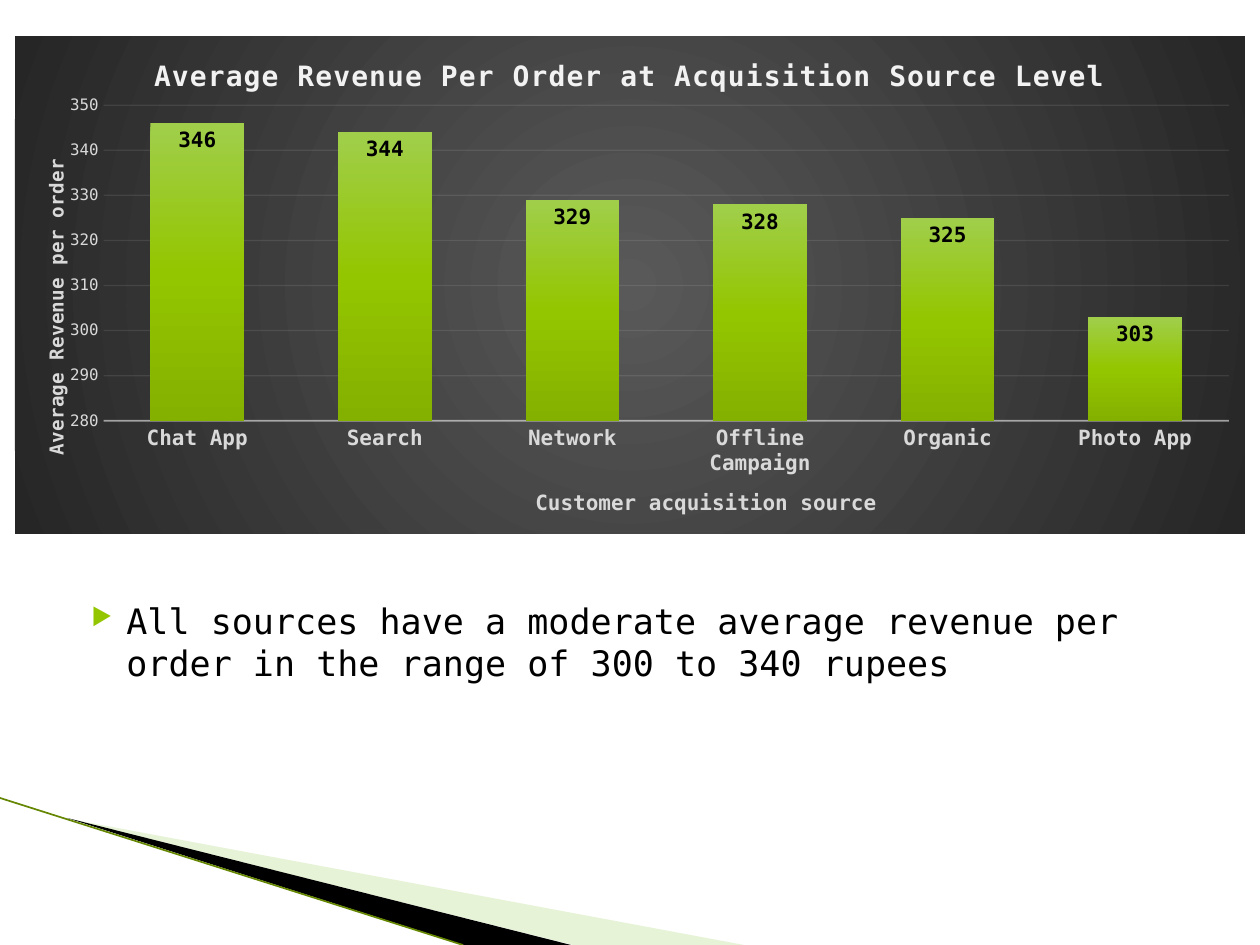
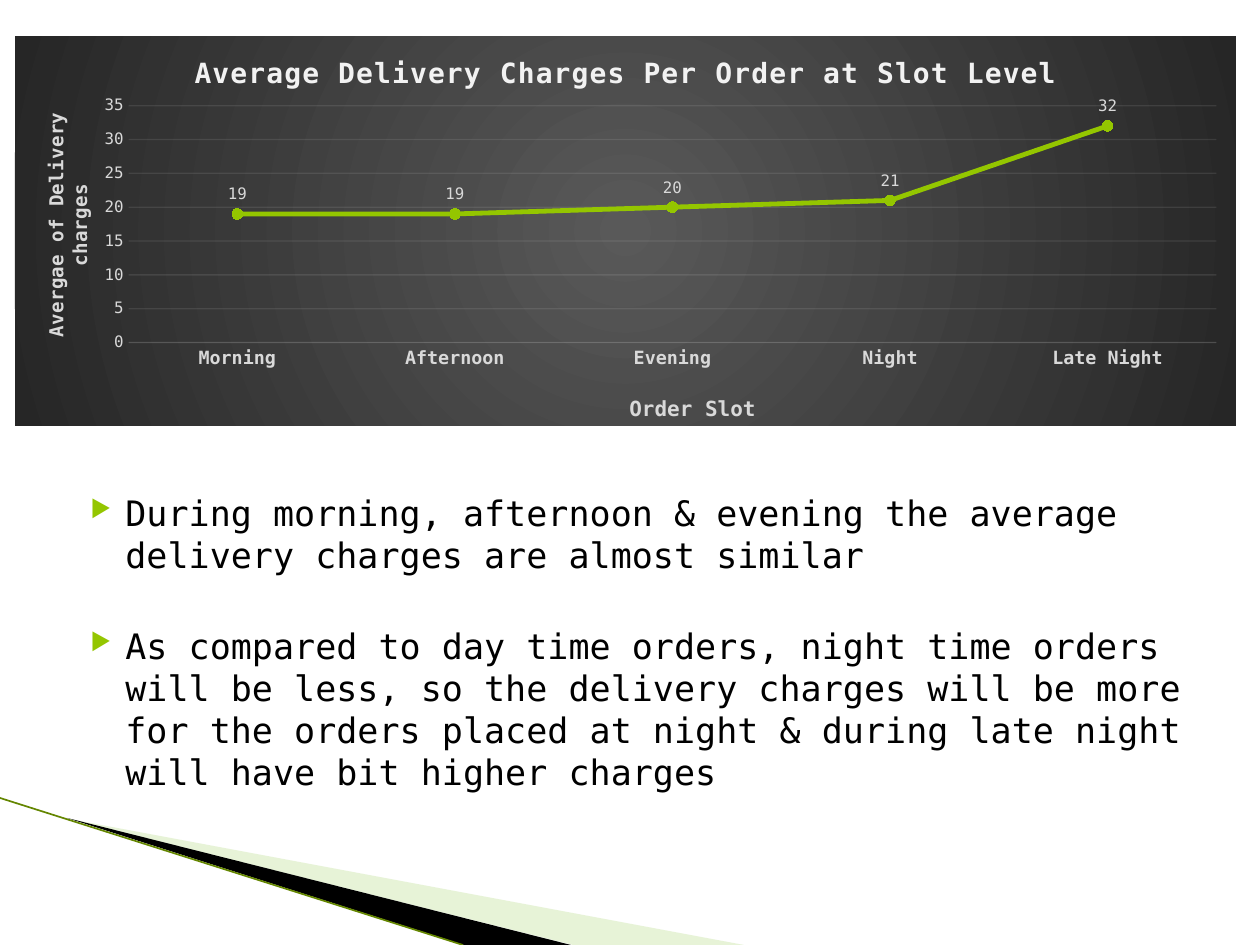
from dataclasses import dataclass

from lxml.etree import SubElement
from pptx import Presentation
from pptx.chart.data import CategoryChartData
from pptx.dml.color import RGBColor
from pptx.enum.chart import XL_CHART_TYPE as ChartType
from pptx.enum.chart import XL_LABEL_POSITION as LabelPosition
from pptx.enum.chart import XL_MARKER_STYLE as MarkerStyle
from pptx.enum.chart import XL_TICK_MARK as TickMark
from pptx.enum.shapes import MSO_CONNECTOR as Connector
from pptx.oxml import parse_xml
from pptx.oxml.ns import nsdecls, qn
from pptx.util import Emu, Pt

PX = 914400 / 126


@dataclass(frozen=True)
class Theme:
    font: str = "DejaVu Sans Mono"
    black: str = "000000"
    green: str = "94C600"
    pale_green: str = "C3E19D"
    edge: str = "648600"
    title: str = "F2F2F2"
    label: str = "D9D9D9"
    panel: tuple = ((0, "595959"), (100, "262626"))
    bars: tuple = ((0, "A0CE4B"), (50, "94C600"), (100, "84B000"))
    body_size: float = 20
    title_size: float = 16
    axis_title_size: float = 12
    value_title_size: float = 11
    small_size: float = 9


THEME = Theme()


def px(length):
    return Emu(round(length * PX))


def rgb(color):
    return RGBColor.from_string(color)


def set_font(font, size, color, bold=False):
    font.name, font.size, font.bold = THEME.font, Pt(size), bold
    font.color.rgb = rgb(color)


def fade(element, path, percent):
    """Give the colour found at path an opacity."""
    color = element.xpath(path + "//a:srgbClr")[0]
    SubElement(color, qn("a:alpha")).set("val", str(percent * 1000))


def gradient(stops, direction):
    marks = "".join(f'<a:gs pos="{position * 1000}"><a:srgbClr val="{color}"/></a:gs>'
                    for position, color in stops)
    return f'<a:gradFill {nsdecls("a")}><a:gsLst>{marks}</a:gsLst>{direction}</a:gradFill>'


def layout(**values):
    """Manual chart layout, as fractions of the chart."""
    target = '<c:layoutTarget val="inner"/>' if "w" in values else ""
    modes = '<c:xMode val="edge"/><c:yMode val="edge"/>'
    places = "".join(f'<c:{name} val="{value}"/>' for name, value in values.items())
    return parse_xml(f'<c:layout {nsdecls("c")}><c:manualLayout>{target}{modes}{places}'
                     '</c:manualLayout></c:layout>')


def drop_layout(element):
    for old in element.findall(qn("c:layout")):
        element.remove(old)


# Corner decoration shared by the slides
def add_wedge(slide, points, color, opacity=100):
    builder = slide.shapes.build_freeform(*points[0], scale=PX)
    builder.add_line_segments(points[1:])
    shape = builder.convert_to_shape()
    shape.shadow.inherit = False
    shape.fill.solid()
    shape.fill.fore_color.rgb = rgb(color)
    shape.line.fill.background()
    if opacity < 100:
        fade(shape._element, "./p:spPr/a:solidFill", opacity)


def add_corner(slide):
    add_wedge(slide, [(69, 819), (744, 945), (573, 945)], THEME.pale_green, 40)
    add_wedge(slide, [(67, 818), (571, 945), (464, 945)], THEME.black)
    edge = slide.shapes.add_connector(Connector.STRAIGHT, px(0), px(798), px(463), px(945))
    edge.line.color.rgb = rgb(THEME.edge)
    edge.line.width = Pt(0.95)
    SubElement(edge._element.spPr, qn("a:effectLst"))


# Findings below the chart
def add_bullets(slide, left, top, height, texts):
    box = slide.shapes.add_textbox(px(left), px(top), px(1134), px(height))
    frame = box.text_frame
    frame.word_wrap = True
    for index, text in enumerate(texts):
        paragraph = frame.paragraphs[0] if index == 0 else frame.add_paragraph()
        paragraph.text = text
        properties = paragraph._p.get_or_add_pPr()
        properties.set("marL", str(px(50)))
        properties.set("indent", str(-px(35)))
        if index:
            paragraph.space_before = Pt(28)
        bullet_color = SubElement(properties, qn("a:buClr"))
        SubElement(bullet_color, qn("a:srgbClr")).set("val", THEME.green)
        SubElement(properties, qn("a:buSzPct")).set("val", "68000")
        SubElement(properties, qn("a:buChar")).set("char", "▶")
        set_font(paragraph.font, THEME.body_size, THEME.black)


# Charts
def set_title(owner, text, size, color, place=None):
    """Title a chart or an axis; place is its top left corner."""
    title = owner.chart_title if hasattr(owner, "chart_title") else owner.axis_title
    run = title.text_frame.paragraphs[0].add_run()
    run.text = text
    set_font(run.font, size, color, bold=True)
    if place:
        element = title._element
        drop_layout(element)
        element.find(qn("c:tx")).addnext(layout(x=place[0], y=place[1]))
    return run


def style_category_axis(axis, size, line_width, opacity):
    axis.major_tick_mark = TickMark.NONE
    set_font(axis.tick_labels.font, size, THEME.label, bold=True)
    axis.format.line.color.rgb = rgb(THEME.title)
    axis.format.line.width = Pt(line_width)
    fade(axis._element, "./c:spPr", opacity)


def style_value_axis(axis, low, high, step):
    axis.minimum_scale, axis.maximum_scale, axis.major_unit = low, high, step
    axis.major_tick_mark = TickMark.NONE
    axis.format.line.fill.background()
    set_font(axis.tick_labels.font, THEME.small_size, THEME.label)
    axis.tick_labels.number_format = "0"
    axis.tick_labels.number_format_is_linked = False
    grid = axis.major_gridlines.format.line
    grid.color.rgb = rgb(THEME.title)
    grid.width = Pt(0.75)
    fade(axis._element, "./c:majorGridlines", 10)


def add_panel_chart(slide, kind, width, height, values, title, plot):
    data = CategoryChartData(number_format="0")
    data.categories = values.keys()
    data.add_series("Series 1", values.values())
    chart = slide.shapes.add_chart(kind, px(15), px(36), px(width), px(height), data).chart
    chart.has_legend = False
    set_font(chart.font, 10, THEME.black)
    run = set_title(chart, title, THEME.title_size, THEME.title)
    run._r.get_or_add_rPr().set("spc", "80")

    space = chart._chartSpace
    circle = ('<a:path path="circle"><a:fillToRect l="50000" t="50000" '
              'r="50000" b="50000"/></a:path>')
    space.find(qn("c:chart")).addnext(parse_xml(
        f'<c:spPr {nsdecls("c", "a")}>{gradient(THEME.panel, circle)}'
        '<a:ln><a:noFill/></a:ln></c:spPr>'))
    plot_area = space.xpath("./c:chart/c:plotArea")[0]
    drop_layout(plot_area)
    plot_area.insert(0, layout(**dict(zip("xywh", plot))))
    chart.plots[0].vary_by_categories = False
    return chart


def add_labels(series, position, size, color, bold=False):
    labels = series.data_labels
    labels.show_value = True
    labels.number_format, labels.number_format_is_linked = "0", False
    labels.position = position
    set_font(labels.font, size, color, bold)


def add_revenue_chart(slide):
    revenue = {"Chat App": 346, "Search": 344, "Network": 329,
               "Offline Campaign": 328, "Organic": 325, "Photo App": 303}
    chart = add_panel_chart(slide, ChartType.COLUMN_CLUSTERED, 1230, 498, revenue,
                            "Average Revenue Per Order at Acquisition Source Level",
                            (0.072, 0.139, 0.915, 0.634))
    style_category_axis(chart.category_axis, 12, 1, 54)
    style_value_axis(chart.value_axis, 280, 350, 10)
    set_title(chart.category_axis, "Customer acquisition source",
              THEME.axis_title_size, THEME.label, (0.42, 0.9))
    set_title(chart.value_axis, "Average Revenue per order",
              THEME.value_title_size, THEME.label, (0.02, 0.24))
    bars = chart.plots[0]
    bars.gap_width, bars.overlap = 100, -24
    series = bars.series[0]
    down = '<a:lin ang="5400000" scaled="0"/>'
    series._element.get_or_add_spPr().insert(0, parse_xml(gradient(THEME.bars, down)))
    add_labels(series, LabelPosition.INSIDE_END, 12, THEME.black, bold=True)


def add_delivery_chart(slide):
    charges = {"Morning": 19, "Afternoon": 19, "Evening": 20, "Night": 21, "Late Night": 32}
    chart = add_panel_chart(slide, ChartType.LINE_MARKERS, 1221, 392, charges,
                            "Average Delivery Charges Per Order at Slot Level",
                            (0.093, 0.179, 0.891, 0.608))
    style_category_axis(chart.category_axis, 10.5, 0.75, 10)
    style_value_axis(chart.value_axis, 0, 35, 5)
    set_title(chart.category_axis, "Order Slot",
              THEME.axis_title_size, THEME.label, (0.5, 0.91))
    set_title(chart.value_axis, "Avergae of Delivery charges",
              THEME.value_title_size, THEME.label, (0.02, 0.19))
    series = chart.plots[0].series[0]
    series.smooth = False
    series.format.line.color.rgb = rgb(THEME.green)
    series.format.line.width = Pt(2.75)
    marker = series.marker
    marker.style, marker.size = MarkerStyle.CIRCLE, 6
    marker.format.fill.solid()
    marker.format.fill.fore_color.rgb = rgb(THEME.green)
    marker.format.line.color.rgb = rgb(THEME.green)
    add_labels(series, LabelPosition.ABOVE, THEME.small_size, THEME.label)


def add_slide(presentation):
    slide = presentation.slides.add_slide(presentation.slide_layouts[6])
    add_corner(slide)
    return slide


def main():
    presentation = Presentation()
    presentation.slide_width, presentation.slide_height = px(1260), px(945)

    # Revenue by acquisition source
    slide = add_slide(presentation)
    add_bullets(slide, 64, 593, 256, [
        "All sources have a moderate average revenue per order in the range of "
        "300 to 340 rupees"])
    add_revenue_chart(slide)

    # Delivery charges by slot
    slide = add_slide(presentation)
    add_bullets(slide, 63, 485, 345, [
        "During morning, afternoon & evening the average delivery charges are almost similar",
        "As compared to day time orders, night time orders will be less, so the delivery "
        "charges will be more for the orders placed at night & during late night will have "
        "bit higher charges"])
    add_delivery_chart(slide)

    presentation.save("out.pptx")


if __name__ == "__main__":
    main()
